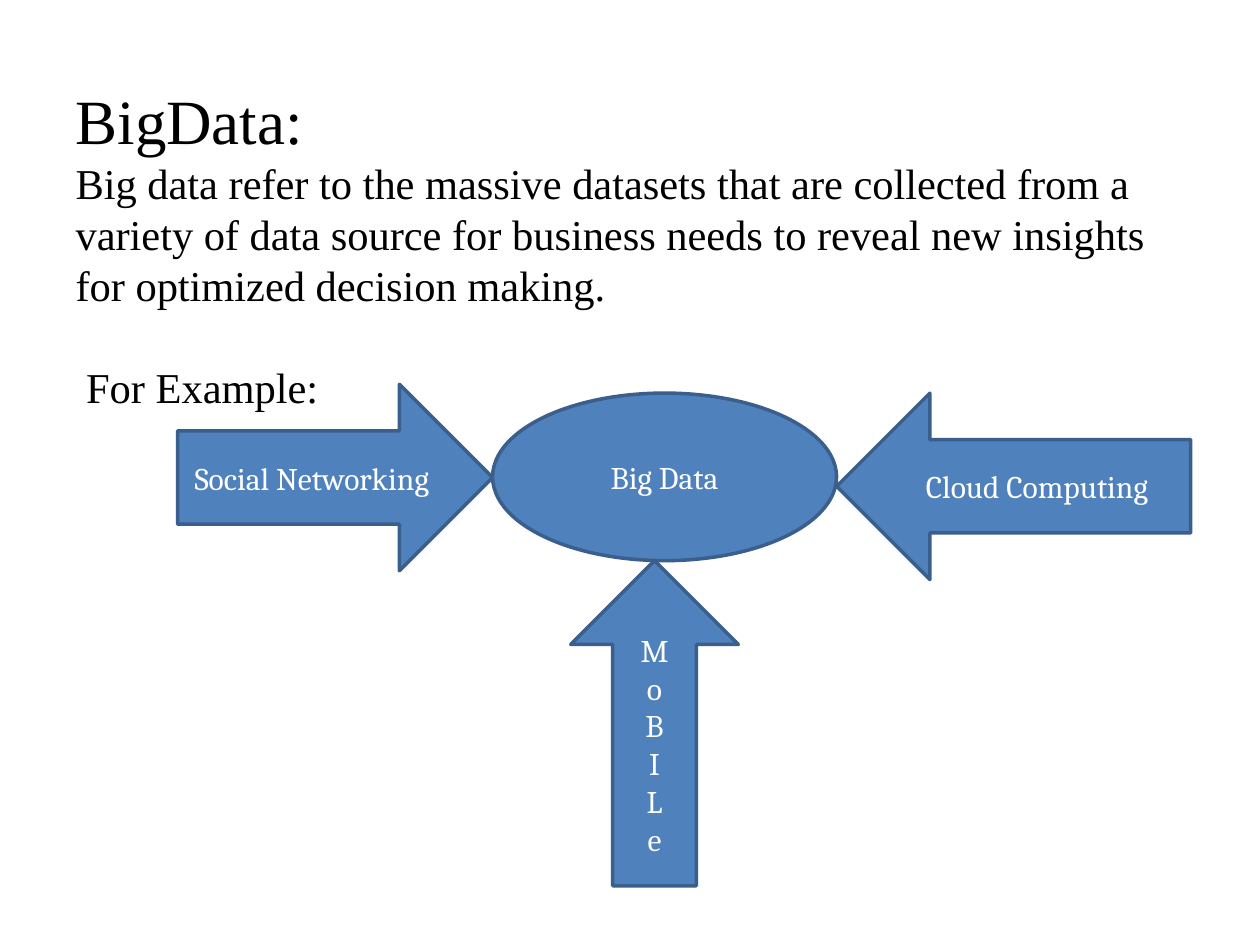
from pptx import Presentation
from pptx.dml.color import RGBColor
from pptx.enum.shapes import MSO_SHAPE
from pptx.enum.text import MSO_ANCHOR, MSO_AUTO_SIZE, PP_ALIGN
from pptx.util import Inches, Pt

BLACK = RGBColor(0x00, 0x00, 0x00)
WHITE = RGBColor(0xFF, 0xFF, 0xFF)
BLUE = RGBColor(0x4F, 0x81, 0xBD)
DARK_BLUE = RGBColor(0x3A, 0x5F, 0x8C)

LINE_PITCH = Pt(29.1)
DEFINITION = (
    "Big data refer to the massive datasets that are collected from a variety of "
    "data source for business needs to reveal new insights for optimized decision making."
)

# The hub ellipse; every arrow ends on one of its sides.
HUB_LEFT, HUB_TOP, HUB_WIDTH, HUB_HEIGHT = 3.91, 3.12, 2.73, 1.33
HUB_RIGHT, HUB_BOTTOM = HUB_LEFT + HUB_WIDTH, HUB_TOP + HUB_HEIGHT
ARROW_BREADTH = 1.48
LEFT_LENGTH = 2.5


def set_font(para, name, size, color):
    para.font.name = name
    para.font.size = Pt(size)
    para.font.color.rgb = color


def fill_title(title):
    title.left, title.top = Inches(0.5), Inches(0.3)
    title.width, title.height = Inches(9), Inches(6.81)
    frame = title.text_frame
    frame.auto_size = MSO_AUTO_SIZE.NONE
    frame.word_wrap = True
    frame.vertical_anchor = MSO_ANCHOR.TOP
    frame.margin_top = Inches(0.35)
    frame.text = "\n".join(["BigData:", DEFINITION, " For Example:"])
    heading, definition, example = frame.paragraphs
    for para in frame.paragraphs:
        para.alignment = PP_ALIGN.LEFT
        para.space_before = Pt(0)
    set_font(heading, "Times New Roman", 36, BLACK)
    for para in (definition, example):
        set_font(para, "Times New Roman", 24.3, BLACK)
        para.line_spacing = LINE_PITCH
    example.space_before = LINE_PITCH


def add_block(page, kind, left, top, width, height, text):
    block = page.shapes.add_shape(
        kind, Inches(left), Inches(top), Inches(width), Inches(height)
    )
    block.shadow.inherit = False
    block.fill.solid()
    block.fill.fore_color.rgb = BLUE
    block.line.color.rgb = DARK_BLUE
    block.line.width = Pt(2)
    frame = block.text_frame
    frame.word_wrap = True
    frame.vertical_anchor = MSO_ANCHOR.MIDDLE
    frame.text = text
    for para in frame.paragraphs:
        para.alignment = PP_ALIGN.CENTER
        set_font(para, "Cambria", 18, WHITE)


def main():
    deck = Presentation()
    deck.slide_width, deck.slide_height = Inches(10), Inches(7.5)
    page = deck.slides.add_slide(deck.slide_layouts[5])
    fill_title(page.shapes.title)
    add_block(page, MSO_SHAPE.OVAL, HUB_LEFT, HUB_TOP, HUB_WIDTH, HUB_HEIGHT, "Big Data")
    add_block(page, MSO_SHAPE.RIGHT_ARROW, HUB_LEFT - LEFT_LENGTH, 3.05,
              LEFT_LENGTH, ARROW_BREADTH, "Social Networking")
    add_block(page, MSO_SHAPE.LEFT_ARROW, HUB_RIGHT, HUB_TOP,
              2.81, ARROW_BREADTH, "Cloud Computing")
    add_block(page, MSO_SHAPE.UP_ARROW, 4.53, HUB_BOTTOM,
              1.33, 2.58, "\n".join("MoBILe"))
    deck.save("out.pptx")


if __name__ == "__main__":
    main()
